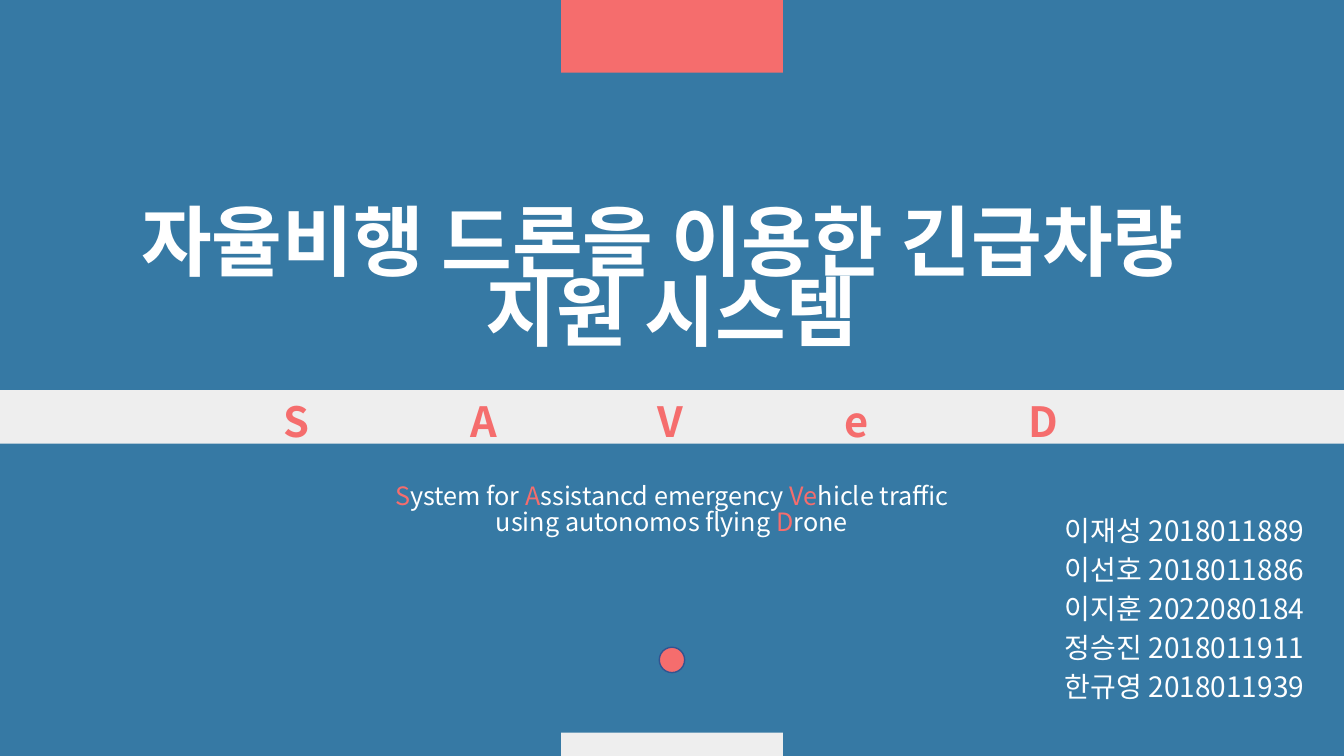
from lxml.etree import SubElement
from pptx import Presentation
from pptx.dml.color import RGBColor
from pptx.enum.shapes import MSO_SHAPE
from pptx.enum.text import MSO_ANCHOR, MSO_AUTO_SIZE, PP_ALIGN
from pptx.oxml.ns import qn
from pptx.util import Cm, Pt

SLIDE_WIDTH, SLIDE_HEIGHT = 33.87, 19.05
FONT = "Noto Sans CJK KR"
BLUE, CORAL, PALE, WHITE, NAVY = "3679A4", "F56D6D", "EEEEEE", "FFFFFF", "325491"

TITLE_LINES = ["자율비행 드론을 이용한 긴급차량 ", "지원 시스템"]
ACRONYM = "SAVeD"
MEANING = [
    ("S", CORAL), ("ystem for ", WHITE),
    ("A", CORAL), ("ssistancd emergency ", WHITE),
    ("Ve", CORAL), ("hicle traffic using autonomos flying ", WHITE),
    ("D", CORAL), ("rone", WHITE),
]
MEMBERS = [
    ("이재성", "2018011889"),
    ("이선호", "2018011886"),
    ("이지훈", "2022080184"),
    ("정승진", "2018011911"),
    ("한규영", "2018011939"),
]


def color(hex_code):
    return RGBColor.from_string(hex_code)


class CoverSlide:
    def __init__(self, presentation):
        self.slide = presentation.slides.add_slide(presentation.slide_layouts[5])
        background = self.slide.background.fill
        background.solid()
        background.fore_color.rgb = color(BLUE)

    def shape(self, kind, left, top, width, height, fill, line=None):
        shape = self.slide.shapes.add_shape(
            kind, Cm(left), Cm(top), Cm(width), Cm(height))
        shape.shadow.inherit = False
        shape.fill.solid()
        shape.fill.fore_color.rgb = color(fill)
        if line:
            shape.line.color.rgb = color(line)
            shape.line.width = Pt(1)
        else:
            shape.line.fill.background()
        return shape

    def frame(self, holder, anchor=MSO_ANCHOR.TOP):
        frame = holder.text_frame
        frame.word_wrap = True
        frame.auto_size = MSO_AUTO_SIZE.NONE
        frame.vertical_anchor = anchor
        return frame

    def title(self, left, top, width, height):
        title = self.slide.shapes.title
        title.left, title.top = Cm(left), Cm(top)
        title.width, title.height = Cm(width), Cm(height)
        return title

    def text_box(self, left, top, width, height):
        box = self.slide.shapes.add_textbox(
            Cm(left), Cm(top), Cm(width), Cm(height))
        return self.frame(box)

    def paragraph(self, frame, index, align, spacing, before=0, after=0):
        paragraph = frame.add_paragraph() if index else frame.paragraphs[0]
        paragraph.alignment = align
        paragraph.line_spacing = spacing
        paragraph.space_before = Pt(before)
        paragraph.space_after = Pt(after)
        return paragraph

    def run(self, paragraph, text, size, ink, bold=False):
        run = paragraph.add_run()
        run.text = text
        run.font.size = Pt(size)
        run.font.bold = bold
        run.font.color.rgb = color(ink)
        run.font.name = FONT
        SubElement(run.font._element, qn("a:ea"), typeface=FONT)

    def centre_tabs(self, paragraph, first, step, count):
        tabs = SubElement(paragraph._p.get_or_add_pPr(), qn("a:tabLst"))
        for number in range(count):
            SubElement(tabs, qn("a:tab"), pos=str(Cm(first + number * step)), algn="ctr")


def main():
    presentation = Presentation()
    presentation.slide_width = Cm(SLIDE_WIDTH)
    presentation.slide_height = Cm(SLIDE_HEIGHT)
    cover = CoverSlide(presentation)

    # Title, with the acronym spread across the pale band behind it
    title = cover.title(2.36, 4.09, 29.13, 7.24)
    band = cover.shape(MSO_SHAPE.RECTANGLE, 0, 9.83, SLIDE_WIDTH, 1.35, PALE)
    title._element.addprevious(band._element)
    heading = cover.frame(title, MSO_ANCHOR.BOTTOM)
    name = cover.paragraph(heading, 0, PP_ALIGN.CENTER, 0.75)
    for number, line in enumerate(TITLE_LINES):
        if number:
            name.add_line_break()
        cover.run(name, line, 54.9, WHITE, bold=True)
    acronym = cover.paragraph(heading, 1, PP_ALIGN.LEFT, 0.75, before=38)
    cover.centre_tabs(acronym, 4.87, 4.7, len(ACRONYM))
    for letter in ACRONYM:
        cover.run(acronym, "\t" + letter, 29.7, CORAL, bold=True)

    # Team members
    team = cover.text_box(7.72, 13.03, 25.4, 5.54)
    for index, member in enumerate(MEMBERS):
        entry = cover.paragraph(team, index, PP_ALIGN.RIGHT, 0.74, after=10)
        cover.run(entry, " ".join(member), 20, WHITE)

    # Meaning of the acronym
    meaning = cover.paragraph(
        cover.text_box(9.12, 12.12, 15.62, 1.8), 0, PP_ALIGN.CENTER, 0.83)
    for text, ink in MEANING:
        cover.run(meaning, text, 18, ink)

    # Centred ornaments
    for kind, top, width, height, fill, line in [
        (MSO_SHAPE.RECTANGLE, 0, 5.59, 1.83, CORAL, None),
        (MSO_SHAPE.OVAL, 16.31, 0.64, 0.64, CORAL, NAVY),
        (MSO_SHAPE.RECTANGLE, 18.46, 5.59, 0.59, PALE, None),
    ]:
        cover.shape(kind, (SLIDE_WIDTH - width) / 2, top, width, height, fill, line)

    presentation.save("out.pptx")


if __name__ == "__main__":
    main()
